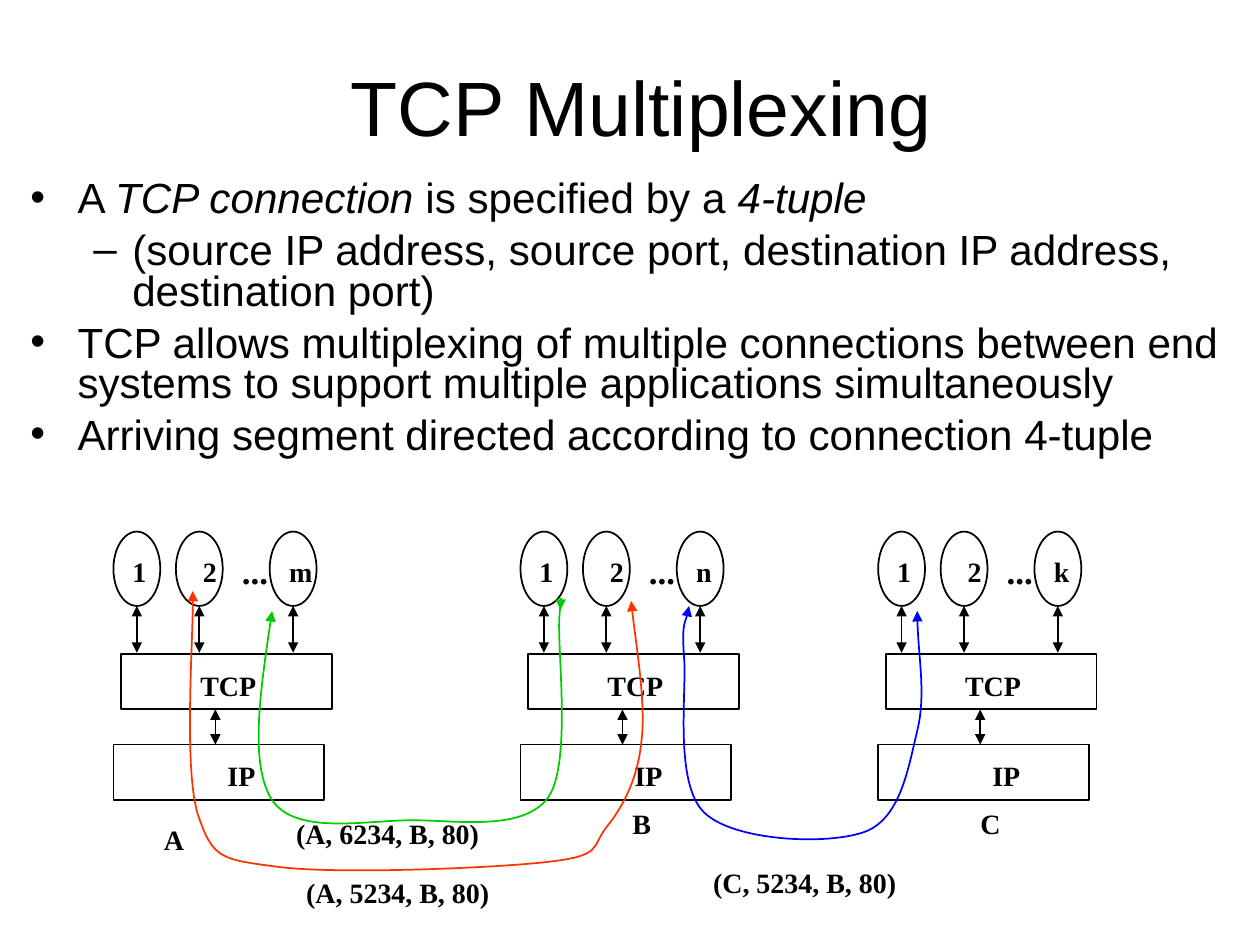
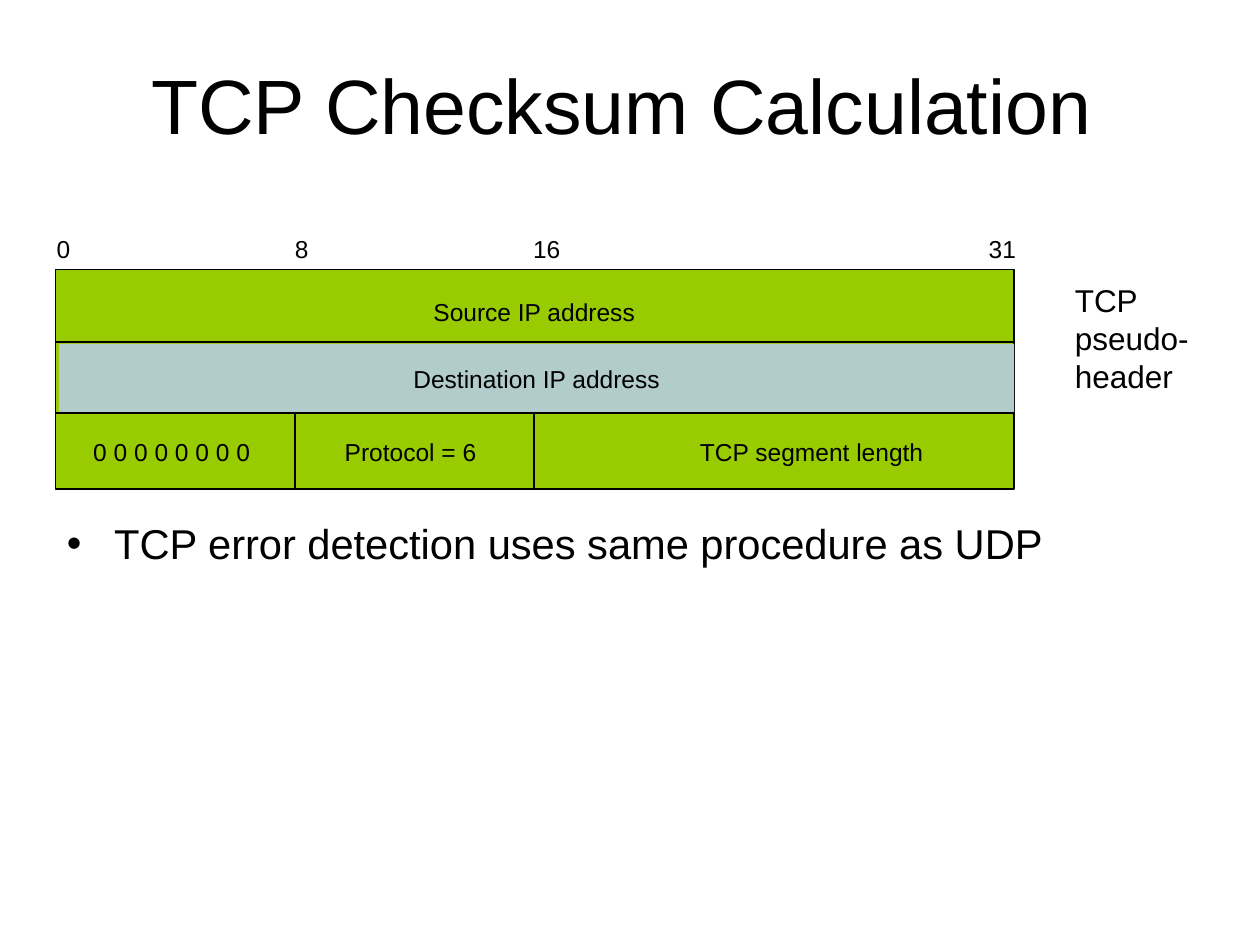
from lxml import etree
from pptx import Presentation
from pptx.dml.color import RGBColor
from pptx.enum.shapes import MSO_CONNECTOR, MSO_SHAPE
from pptx.enum.text import MSO_ANCHOR, PP_ALIGN
from pptx.oxml.ns import qn
from pptx.util import Pt

STRAIGHT = MSO_CONNECTOR.STRAIGHT
RECTANGLE = MSO_SHAPE.RECTANGLE
ELLIPSE = MSO_SHAPE.OVAL
LEFT = PP_ALIGN.LEFT
CENTER = PP_ALIGN.CENTER
TOP = MSO_ANCHOR.TOP
MIDDLE = MSO_ANCHOR.MIDDLE

SANS = "Arial"
SERIF = "Times New Roman"
BLACK = "000000"
RED = "FF3300"
GREEN = "00CC00"
BLUE = "0000FF"
HEADER_GREEN = "99CC00"
HEADER_TEAL = "B1CCCB"

# Bullet level: (character, left indent, hanging indent)
BULLETS = [("•", 27, 27), ("–", 58.3, 22.3)]

# Each curve: colour, start point, then rows of two control points and an end point
CONNECTION_CURVES = [
    (RED, (110.2, 337.7), [
        (110.9, 359.3), (105.1, 438.5), (113, 465.1),
        (121.7, 491), (126, 491), (159.1, 495.4),
        (193, 499.7), (282.2, 496.1), (313.2, 492.5),
        (344.2, 488.9), (337.7, 484.6), (346.3, 473),
        (355.7, 461.5), (364.3, 445.7), (366.5, 424.1),
        (369.4, 402.5), (362.2, 360.7), (360.7, 343.4)]),
    (GREEN, (155.5, 349.2), [
        (149, 393.1), (142.6, 437), (155.5, 457.2),
        (169.2, 477.4), (208.8, 468.7), (235.4, 468.7),
        (261.4, 468.7), (298.8, 475.2), (313.2, 455.8),
        (326.9, 436.3), (318.2, 370.1), (319.7, 352.1),
        (321.1, 334.8), (320.4, 349.2), (320.4, 348.5)]),
    (BLUE, (524.2, 349.2), [
        (524.2, 373), (529.2, 396.7), (524.2, 417.6),
        (519.1, 438.5), (514.8, 467.3), (494.6, 475.2),
        (473.8, 483.1), (419.8, 481), (402.5, 464.4),
        (385.2, 447.8), (392.4, 396), (391, 376.6),
        (389.5, 356.4), (393.1, 352.8), (393.8, 346.3)]),
]


def color(hex_string):
    return RGBColor.from_string(hex_string)


def add_span(para, text, *, size, font=SANS, bold=False, italic=False):
    span = para.add_run()
    span.text = text
    span.font.name = font
    span.font.size = Pt(size)
    span.font.bold = bold
    span.font.italic = italic
    span.font.color.rgb = color(BLACK)


def add_frame(page, left, top, width, height, anchor=TOP):
    """Add an empty wrapping text box without margins and return its text frame."""
    box = page.shapes.add_textbox(Pt(left), Pt(top), Pt(width), Pt(height))
    frame = box.text_frame
    frame.word_wrap = True
    frame.vertical_anchor = anchor
    frame.margin_left = frame.margin_right = 0
    frame.margin_top = frame.margin_bottom = 0
    return frame


def add_text(page, text, left, top, width, height=20, *, align=LEFT, anchor=TOP, **font):
    para = add_frame(page, left, top, width, height, anchor).paragraphs[0]
    para.alignment = align
    add_span(para, text, **font)


def add_title(page, text, left, top, width, height):
    add_text(page, text, left, top, width, height, align=CENTER, anchor=MIDDLE, size=44)


def add_label(page, text, left, top, width=40, size=16):
    add_text(page, text, left, top, width, size=size, font=SERIF, bold=True)


def set_bullet(para, level):
    character, indent, hanging = BULLETS[level]
    properties = para._p.get_or_add_pPr()
    properties.set("marL", str(Pt(indent)))
    properties.set("indent", str(-Pt(hanging)))
    bullet_color = etree.SubElement(properties, qn("a:buClr"))
    etree.SubElement(bullet_color, qn("a:srgbClr"), val=BLACK)
    etree.SubElement(properties, qn("a:buFont"), typeface=SANS)
    etree.SubElement(properties, qn("a:buChar"), char=character)


def add_bullets(page, items, left, top, width, height, *, size, line_spacing=1.0):
    """Add items given as (level, [(text, italic), ...])."""
    frame = add_frame(page, left, top, width, height)
    for number, (level, spans) in enumerate(items):
        para = frame.add_paragraph() if number else frame.paragraphs[0]
        para.level = level
        para.line_spacing = line_spacing
        if number:
            para.space_before = Pt(6.5)
        set_bullet(para, level)
        for text, italic in spans:
            add_span(para, text, size=size, italic=italic)


def add_box(page, kind, left, top, width, height, *, fill=None, line=BLACK):
    box = page.shapes.add_shape(kind, Pt(left), Pt(top), Pt(width), Pt(height))
    box.shadow.inherit = False
    if fill:
        box.fill.solid()
        box.fill.fore_color.rgb = color(fill)
    else:
        box.fill.background()
    if line:
        set_line(box, line)
    else:
        box.line.fill.background()


def set_line(shape, line_color, arrows=False):
    shape.line.color.rgb = color(line_color)
    shape.line.width = Pt(1)
    if arrows:
        outline = shape.element.spPr.find(qn("a:ln"))
        for end in ("a:headEnd", "a:tailEnd"):
            etree.SubElement(outline, qn(end), type="triangle")


def add_line(page, start_x, start_y, end_x, end_y, arrows=False):
    line = page.shapes.add_connector(
        STRAIGHT, Pt(start_x), Pt(start_y), Pt(end_x), Pt(end_y))
    set_line(line, BLACK, arrows)
    etree.SubElement(line.element.spPr, qn("a:effectLst"))


def add_curve(page, line_color, start, points):
    """Draw a Bezier curve: every three points are two controls and an end."""
    builder = page.shapes.build_freeform(Pt(start[0]), Pt(start[1]))
    builder.add_line_segments([(Pt(x), Pt(y)) for x, y in points], close=False)
    curve = builder.convert_to_shape()
    curve.shadow.inherit = False
    curve.fill.background()
    set_line(curve, line_color, arrows=True)
    outline = next(curve.element.iter(qn("a:path")))
    segments = outline.findall(qn("a:lnTo"))
    for index, segment in enumerate(segments):
        if index % 3 == 0:
            bezier = etree.SubElement(outline, qn("a:cubicBezTo"))
        bezier.append(segment[0])
        outline.remove(segment)


def add_host(page, left, last_port):
    """Draw one end system: three ports above its TCP and IP layers."""
    port_top, port_width, port_height = 303.8, 26.8, 42.5
    tcp_top, ip_top, layer_width, layer_height = 373.7, 425.5, 120.5, 31.7
    ports = [("1", 0, 10.8), ("2", 35.7, 51.1), (last_port, 89.3, 100.4)]
    for name, offset, text_offset in ports:
        add_box(page, ELLIPSE, left + offset, port_top, port_width, port_height)
        add_label(page, name, left + text_offset, 316.8)
        middle = left + offset + port_width / 2
        add_line(page, middle, port_top + port_height, middle, tcp_top - 0.7, arrows=True)
    add_label(page, "...", left + 73.4, 313.9, size=20)
    add_box(page, RECTANGLE, left + 4.3, tcp_top, layer_width, layer_height)
    add_label(page, "TCP", left + 49.7, 382.3)
    add_box(page, RECTANGLE, left, ip_top, layer_width, layer_height)
    add_label(page, "IP", left + 65.2, 433.4)
    add_line(page, left + 58.3, tcp_top + layer_height, left + 58.3, ip_top, arrows=True)


def build_multiplexing(page):
    add_title(page, "TCP Multiplexing", 42.5, 15.1, 648, 90)
    add_bullets(page, [
        (0, [("A ", False), ("TCP connection", True),
             (" is specified by a ", False), ("4-tuple", True)]),
        (1, [("(source IP address, source port, destination IP address, "
              "destination port)", False)]),
        (0, [("TCP allows multiplexing of multiple connections between end systems "
              "to support multiple applications simultaneously", False)]),
        (0, [("Arriving segment directed according to connection 4-tuple", False)]),
    ], 17.3, 103.7, 685, 181, size=24.1, line_spacing=0.8)
    for left, last_port in [(64.8, "m"), (297.4, "n"), (501.8, "k")]:
        add_host(page, left, last_port)
    for line_color, start, points in CONNECTION_CURVES:
        add_curve(page, line_color, start, points)
    for name, left, top in [("A", 93.6, 470.2), ("B", 361.4, 460.8), ("C", 560.2, 460.8)]:
        add_label(page, name, left, top)
    for name, left, top in [("(A, 5234, B, 80)", 175, 500.4),
                            ("(A, 6234, B, 80)", 169.2, 466.6),
                            ("(C, 5234, B, 80)", 407.5, 494.6)]:
        add_label(page, name, left, top, width=130)


def build_checksum(page):
    add_title(page, "TCP Checksum Calculation", 49, 25.9, 612.7, 67)
    add_bullets(page, [(0, [("TCP error detection uses same procedure as UDP", False)])],
                38.2, 295.9, 597, 38, size=23.8)
    add_text(page, "TCP pseudo-header", 614.2, 160.6, 98.6, 65, size=18)

    left, right, top, bottom = 31.7, 579.6, 154.1, 279.4
    second_row, third_row = 195.5, 236.2
    add_box(page, RECTANGLE, left, top, right - left, bottom - top, fill=HEADER_GREEN)
    add_box(page, RECTANGLE, left + 2, second_row + 1, right - left - 2,
            third_row - second_row - 1, fill=HEADER_TEAL, line=None)
    for row in (second_row, third_row):
        add_line(page, left, row, right, row)
    for divider in (168.5, 305.3):
        add_line(page, divider, bottom, divider, third_row)

    header_texts = [
        (133.9, [("0", 32.4), ("8", 168.5), ("16", 304.6), ("31", 565)]),
        (169.9, [("Source IP address", 247.7)]),
        (208.1, [("Destination IP address", 236.2)]),
        (249.8, [("0 0 0 0 0 0 0 0", 53.3), ("Protocol = 6", 197),
                 ("TCP segment length", 400)]),
    ]
    for text_top, texts in header_texts:
        for text, text_left in texts:
            add_text(page, text, text_left, text_top, 160, 17, size=14)


def main():
    deck = Presentation()
    deck.slide_width, deck.slide_height = Pt(720), Pt(540)
    blank = deck.slide_layouts[6]
    for build in (build_multiplexing, build_checksum):
        build(deck.slides.add_slide(blank))
    deck.save("out.pptx")


if __name__ == "__main__":
    main()
